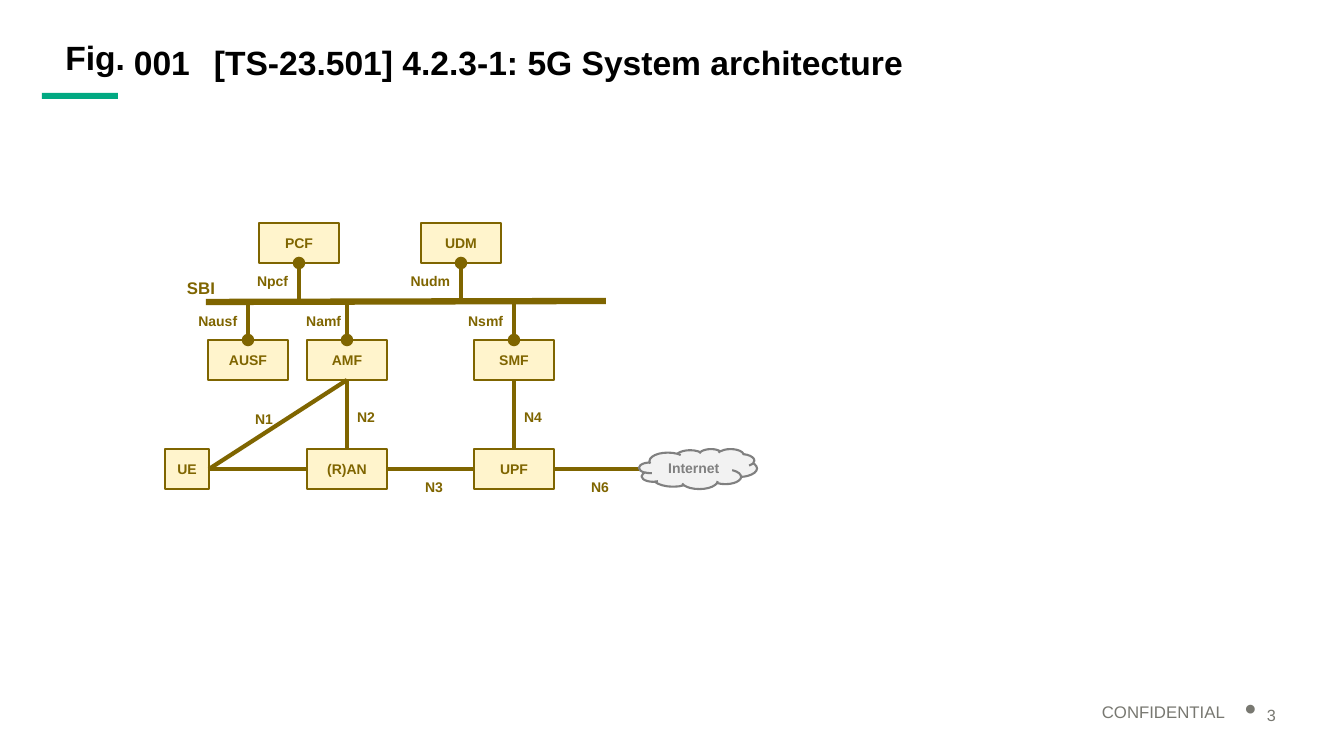
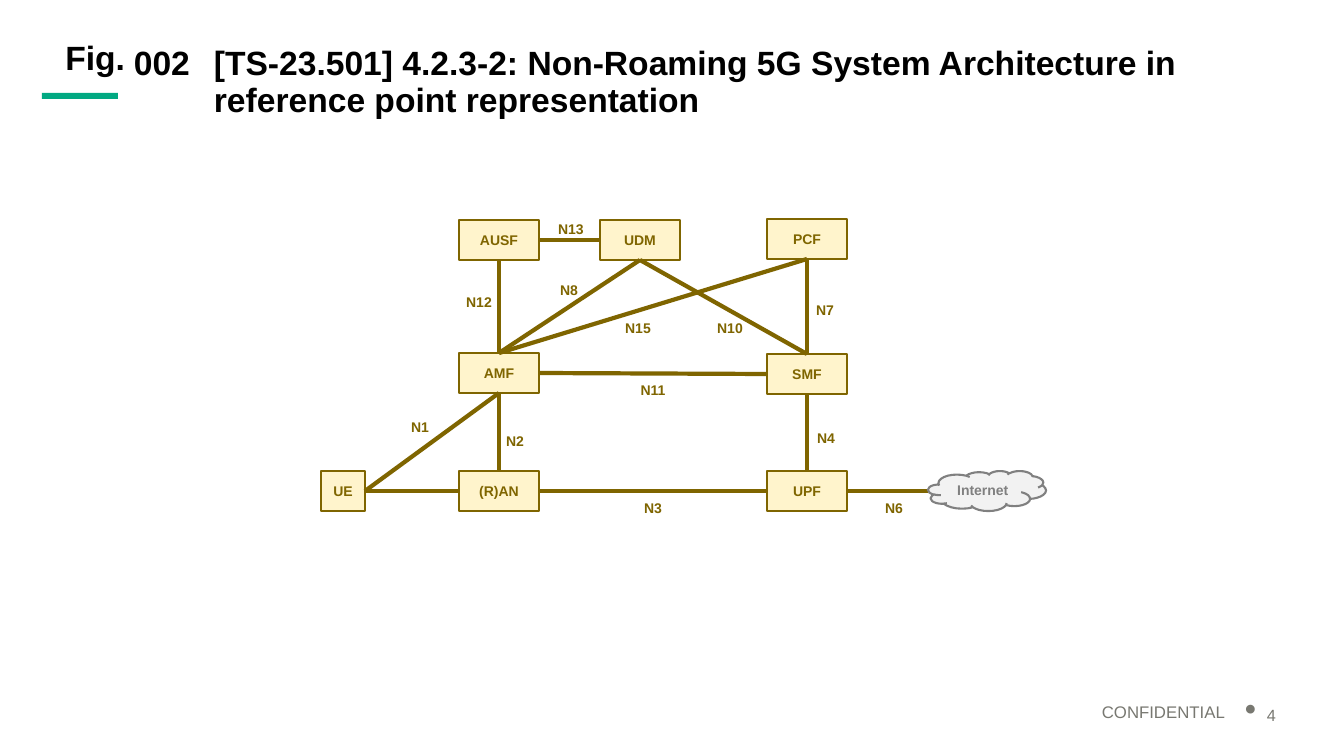
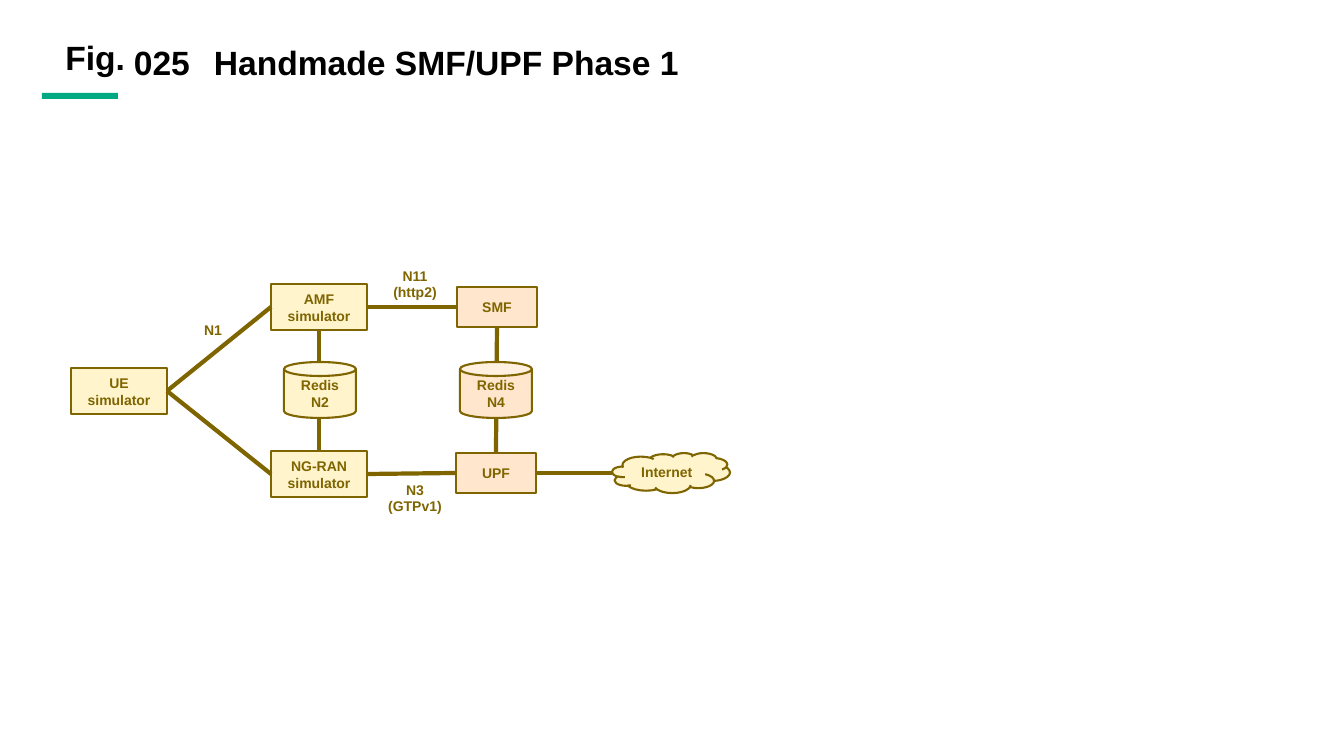
import pptx
import pptx.dml.color
import pptx.enum.shapes
import pptx.enum.text
import pptx.oxml.ns
import pptx.util
from lxml import etree

SHAPE = pptx.enum.shapes.MSO_SHAPE
ALIGN = pptx.enum.text.PP_ALIGN
ANCHOR = pptx.enum.text.MSO_ANCHOR
qn = pptx.oxml.ns.qn

FONT = "Arial"
BLACK = "000000"
GREEN = "01A982"
FOOTER_GREY = "787871"
BROWN = "7F6500"
YELLOW = "FFF4CC"
ORANGE = "FFE6CC"
CLOUD_GREY = "808080"
CLOUD_FILL = "F2F2F2"

NODE = (80, 40)
UE = (44, 40)
SIMULATOR = (96, 46)
STORE = (72, 56)
CLOUD = (118, 40)

# Connection sites of a rectangle
TOP, LEFT, BOTTOM, RIGHT = range(4)


def px(length):
    return pptx.util.Emu(round(length * 914400 / 100.8))


def colour(hex_string):
    return pptx.dml.color.RGBColor.from_string(hex_string)


def write(shape, text, size, color, bold=True, align=ALIGN.CENTER,
          anchor=ANCHOR.MIDDLE, spacing=None):
    frame = shape.text_frame
    frame.word_wrap = True
    frame.vertical_anchor = anchor
    frame.text = text
    for para in frame.paragraphs:
        para.alignment = align
        if spacing:
            para.line_spacing = spacing
        for run in para.runs:
            run.font.name = FONT
            run.font.size = pptx.util.Pt(size)
            run.font.bold = bold
            run.font.color.rgb = colour(color)


def add_text(slide, left, top, width, height, text, size, color, **style):
    box = slide.shapes.add_textbox(px(left), px(top), px(width), px(height))
    write(box, text, size, color, **style)
    return box


def add_preset(slide, kind, left, top, width, height, fill, outline=None):
    shape = slide.shapes.add_shape(kind, px(left), px(top), px(width), px(height))
    shape.shadow.inherit = False
    shape.fill.solid()
    shape.fill.fore_color.rgb = colour(fill)
    if outline:
        shape.line.color.rgb = colour(outline)
        shape.line.width = pptx.util.Pt(1.5)
    else:
        shape.line.fill.background()
    return shape


def add_node(slide, text, x, y, size=NODE, kind=SHAPE.RECTANGLE,
             fill=YELLOW, ink=BROWN):
    """Add a captioned network element centred on (x, y)."""
    width, height = size
    node = add_preset(slide, kind, x - width / 2, y - height / 2,
                      width, height, fill, ink)
    write(node, text, 10, ink)
    return node


def add_nodes(slide, rows):
    """Add the nodes and return them by the first line of their caption."""
    return {row[0].split("\n")[0]: add_node(slide, *row) for row in rows}


def add_cloud(slide, x, y, fill=CLOUD_FILL, ink=CLOUD_GREY):
    return add_node(slide, "Internet", x, y, CLOUD, SHAPE.CLOUD, fill, ink)


def add_label(slide, text, x, y, size=10):
    """Add a label centred on (x, y)."""
    add_text(slide, x - 40, y - 20, 80, 40, text, size, BROWN)


def add_labels(slide, rows):
    for row in rows:
        add_label(slide, *row)


def add_line(slide, start=(0, 0), end=(0, 0), width=3):
    line = slide.shapes.add_connector(
        pptx.enum.shapes.MSO_CONNECTOR.STRAIGHT,
        px(start[0]), px(start[1]), px(end[0]), px(end[1]))
    line.line.color.rgb = colour(BROWN)
    line.line.width = pptx.util.Pt(width)
    etree.SubElement(line._element.spPr, qn("a:effectLst"))
    return line


def add_links(slide, nodes, rows):
    """Glue a line between the given sides of each pair of nodes."""
    for start, start_side, end, end_side in rows:
        line = add_line(slide)
        line.begin_connect(nodes[start], start_side)
        line.end_connect(nodes[end], end_side)


def add_uplink(slide, node, cloud_x, y):
    """Lead a line from the node to the left tip of the cloud."""
    line = add_line(slide, end=(cloud_x - CLOUD[0] / 2, y))
    line.begin_connect(node, RIGHT)


def add_bus_drop(slide, node, side, x, bus_y):
    """Hang a node on the bus with a round end at the node."""
    drop = add_line(slide, end=(x, bus_y))
    drop.begin_connect(node, side)
    outline = drop.line._get_or_add_ln()
    etree.SubElement(outline, qn("a:headEnd"), type="oval")


def add_page_number(slide, number):
    box = add_text(slide, 1235, 695, 76, 40, "", 20, FOOTER_GREY)
    para = box.text_frame.paragraphs[0]
    para.alignment = ALIGN.LEFT
    para.line_spacing = 0.9
    properties = para._p.get_or_add_pPr()
    properties.set("marL", str(px(22)))
    properties.set("indent", str(px(-22)))
    etree.SubElement(properties, qn("a:buSzPct"), val="120000")
    etree.SubElement(properties, qn("a:buChar"), char="•")
    run = para.add_run()
    run.text = str(number)
    run.font.name = FONT
    run.font.size = pptx.util.Pt(20)
    run.font.color.rgb = colour(FOOTER_GREY)
    run._r.get_or_add_rPr().set("baseline", "10000")


def add_figure_slide(deck, figure, title, page=None):
    """Add a slide with its heading and, if it has a page number, its footer."""
    slide = deck.slides.add_slide(deck.slide_layouts[6])
    heading = {"anchor": ANCHOR.TOP, "spacing": 0.9}
    add_preset(slide, SHAPE.RECTANGLE, 42, 93, 76, 6, GREEN)
    prefix = add_text(slide, 45, 42, 80, 47, "Fig.", 24, BLACK,
                      align=ALIGN.RIGHT, **heading)
    frame = prefix.text_frame
    frame.margin_left = frame.margin_right = 0
    frame.margin_top = frame.margin_bottom = 0
    for left, width, text in ((124, 80, figure), (204, 1099, title)):
        add_text(slide, left, 42, width, 47, text, 24, BLACK,
                 align=ALIGN.LEFT, **heading)
    if page:
        add_text(slide, 781, 699, 454, 24, "CONFIDENTIAL", 12, FOOTER_GREY,
                 bold=False, align=ALIGN.RIGHT, **heading)
        add_page_number(slide, page)
    return slide


def build_service_architecture(deck):
    slide = add_figure_slide(
        deck, "001", "[TS-23.501] 4.2.3-1: 5G System architecture", 3)
    upper, bus, lower, access = 243, 302, 360, 469
    nodes = add_nodes(slide, [
        ("UE", 187, access, UE), ("(R)AN", 347, access), ("UPF", 514, access),
        ("PCF", 299, upper), ("UDM", 461, upper),
        ("AUSF", 248, lower), ("AMF", 347, lower), ("SMF", 514, lower)])
    add_links(slide, nodes, [
        ("UE", RIGHT, "(R)AN", LEFT), ("UE", RIGHT, "AMF", BOTTOM),
        ("(R)AN", TOP, "AMF", BOTTOM), ("(R)AN", RIGHT, "UPF", LEFT),
        ("SMF", BOTTOM, "UPF", TOP)])
    add_line(slide, (206, bus), (606, bus - 1), 4.5)
    for name, side, x, label, label_right in (
            ("PCF", BOTTOM, 299, "Npcf", 298),
            ("UDM", BOTTOM, 461, "Nudm", 460),
            ("AUSF", TOP, 248, "Nausf", 247),
            ("AMF", TOP, 347, "Namf", 351),
            ("SMF", TOP, 514, "Nsmf", 513)):
        add_bus_drop(slide, nodes[name], side, x, bus)
        label_top = bus - 41 if side == BOTTOM else bus - 1
        add_text(slide, label_right - 63, label_top, 63, 40, label, 10, BROWN,
                 align=ALIGN.RIGHT)
    add_labels(slide, [
        ("SBI", 201, 288, 12), ("N1", 264, 419), ("N2", 366, 417),
        ("N3", 434, 487), ("N4", 533, 417), ("N6", 600, 487)])
    add_uplink(slide, nodes["UPF"], 698, access)
    add_cloud(slide, 698, access)


def build_reference_points(deck):
    slide = add_figure_slide(
        deck, "002", "[TS-23.501] 4.2.3-2: Non-Roaming 5G System Architecture "
        "in reference point representation", 4)
    left, middle, right = 499, 640, 807
    upper, control, access = 240, 373, 491
    nodes = add_nodes(slide, [
        ("UE", 343, access, UE), ("(R)AN", left, access), ("UPF", right, access),
        ("AMF", left, control), ("SMF", right, control + 1),
        ("AUSF", left, upper), ("UDM", middle, upper), ("PCF", right, upper - 1)])
    add_links(slide, nodes, [
        ("UE", RIGHT, "(R)AN", LEFT), ("UE", RIGHT, "AMF", BOTTOM),
        ("(R)AN", TOP, "AMF", BOTTOM), ("(R)AN", RIGHT, "UPF", LEFT),
        ("SMF", BOTTOM, "UPF", TOP), ("AMF", RIGHT, "SMF", LEFT),
        ("AMF", TOP, "AUSF", BOTTOM), ("AMF", TOP, "UDM", BOTTOM),
        ("AMF", TOP, "PCF", BOTTOM), ("AUSF", RIGHT, "UDM", LEFT),
        ("UDM", BOTTOM, "SMF", TOP), ("PCF", BOTTOM, "SMF", TOP)])
    add_labels(slide, [
        ("N1", 420, 427), ("N2", 515, 441), ("N3", 653, 508), ("N4", 826, 438),
        ("N6", 894, 508), ("N7", 825, 310), ("N8", 569, 290), ("N10", 730, 328),
        ("N11", 653, 390), ("N12", 479, 302), ("N13", 571, 229),
        ("N15", 638, 328)])
    add_uplink(slide, nodes["UPF"], 987, access)
    add_cloud(slide, 987, access)


def build_handmade_phase(deck):
    slide = add_figure_slide(deck, "025", "Handmade SMF/UPF Phase 1")
    simulators, handmade = 319, 497
    control, storage, access = 307, 390, 473
    box = SHAPE.RECTANGLE
    nodes = add_nodes(slide, [
        ("UE\nsimulator", 119, storage + 1, SIMULATOR),
        ("AMF\nsimulator", simulators, control, SIMULATOR),
        ("NG-RAN\nsimulator", simulators, access + 1, SIMULATOR),
        ("SMF", handmade, control, NODE, box, ORANGE),
        ("UPF", handmade - 1, access, NODE, box, ORANGE)])
    add_links(slide, nodes, [
        ("UE", RIGHT, "AMF", LEFT), ("UE", RIGHT, "NG-RAN", LEFT),
        ("AMF", BOTTOM, "NG-RAN", TOP), ("AMF", RIGHT, "SMF", LEFT),
        ("NG-RAN", RIGHT, "UPF", LEFT), ("SMF", BOTTOM, "UPF", TOP)])
    for text, x, fill in (("Redis\nN2", simulators + 1, YELLOW),
                          ("Redis\nN4", handmade - 1, ORANGE)):
        add_node(slide, text, x, storage, STORE, SHAPE.CAN, fill)
    add_labels(slide, [
        ("N1", 213, 330), ("N11\n(http2)", 415, 284), ("N3\n(GTPv1)", 415, 498)])
    add_uplink(slide, nodes["UPF"], 671, access)
    add_cloud(slide, 671, access, YELLOW, BROWN)


def main():
    deck = pptx.Presentation()
    deck.slide_width, deck.slide_height = px(1344), px(756)
    build_service_architecture(deck)
    build_reference_points(deck)
    build_handmade_phase(deck)
    deck.save("out.pptx")


if __name__ == "__main__":
    main()
